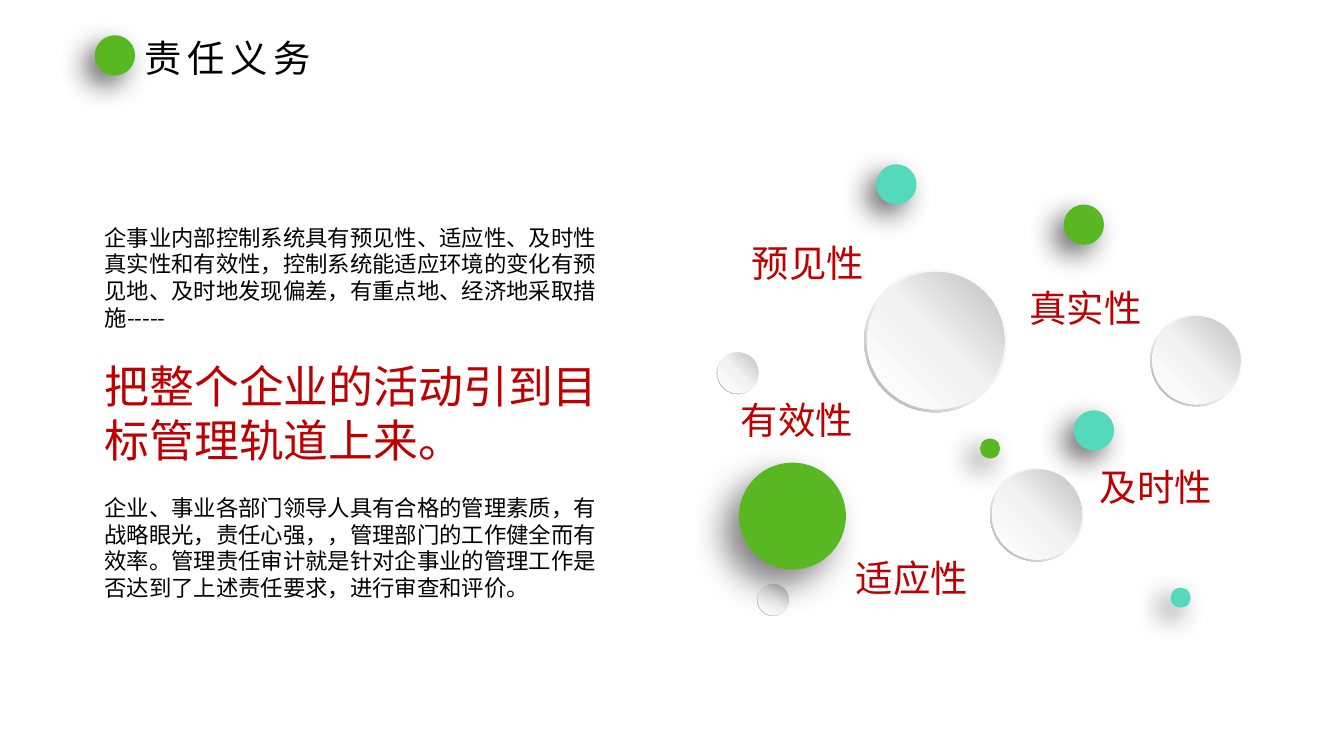
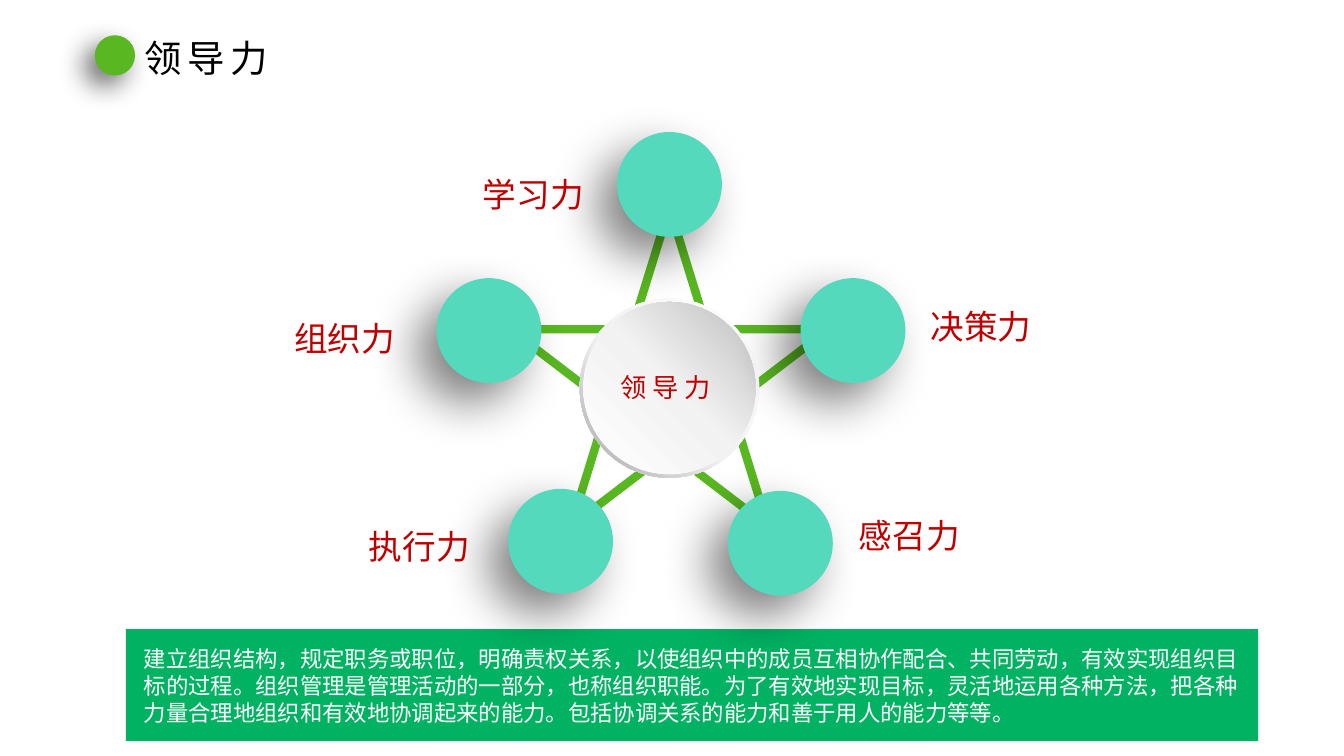
"""Build two slides on management duties and leadership."""
from dataclasses import dataclass
from typing import NamedTuple

from lxml.etree import SubElement
from pptx import Presentation
from pptx.dml.color import RGBColor as RGB
from pptx.enum.shapes import MSO_SHAPE as SHAPE
from pptx.enum.text import MSO_AUTO_SIZE as AUTO
from pptx.oxml.ns import qn
from pptx.util import Inches, Pt


@dataclass(frozen=True)
class Theme:
    font: str = "Noto Sans CJK SC"
    green: str = "59B721"
    teal: str = "54D9BC"
    band: str = "01B262"
    red: str = "C00000"
    black: str = "000000"
    white: str = "FFFFFF"
    rim: tuple = ((0, "FFFFFF"), (55, "F2F2F2"), (100, "A6A6A6"))
    face: tuple = ((0, "FFFFFF"), (51, "F2F2F2"), (100, "BFBFBF"))
    title: float = 26.7
    slogan: float = 32
    label: float = 24
    hub: float = 18.7
    body: float = 16
    leading: float = 1.2
    tracking: float = 4


class Shadow(NamedTuple):
    opacity: int
    blur: float
    dist: float


class Ball(NamedTuple):
    x: float
    y: float
    size: float
    color: str
    shadow: Shadow


class Disc(NamedTuple):
    x: float
    y: float
    size: float


class Label(NamedTuple):
    x: float
    y: float
    text: str


T = Theme()
SMALL = Shadow(60, 20, 10)
MEDIUM = Shadow(50, 25, 15)
LARGE = Shadow(50, 35, 20)
DIRECTION = 135

DUTY = """企事业内部控制系统具有预见性、适应性、及时性
真实性和有效性，控制系统能适应环境的变化有预
见地、及时地发现偏差，有重点地、经济地采取措
施-----"""
SLOGAN = """把整个企业的活动引到目
标管理轨道上来。"""
AUDIT = """企业、事业各部门领导人具有合格的管理素质，有
战略眼光，责任心强，，管理部门的工作健全而有
效率。管理责任审计就是针对企事业的管理工作是
否达到了上述责任要求，进行审查和评价。"""
ORGANISING = """建立组织结构，规定职务或职位，明确责权关系，以使组织中的成员互相协作配合、共同劳动，有效实现组织目
标的过程。组织管理是管理活动的一部分，也称组织职能。为了有效地实现目标，灵活地运用各种方法，把各种
力量合理地组织和有效地协调起来的能力。包括协调关系的能力和善于用人的能力等等。"""

QUALITIES = (
    Label(7.36, 2.33, "预见性"),
    Label(8.39, 5.46, "适应性"),
    Label(10.81, 4.56, "及时性"),
    Label(10.11, 2.78, "真实性"),
    Label(7.25, 3.89, "有效性"),
)
DISCS = (
    Disc(8.57, 2.67, 1.42),
    Disc(11.41, 3.12, 0.91),
    Disc(7.51, 5.79, 0.32),
    Disc(7.11, 3.49, 0.42),
    Disc(9.82, 4.64, 0.93),
)
BALLS = (
    Ball(7.33, 4.59, 1.06, T.green, MEDIUM),
    Ball(10.65, 4.07, 0.4, T.teal, SMALL),
    Ball(10.55, 2.03, 0.4, T.green, SMALL),
    Ball(11.61, 5.83, 0.2, T.teal, SMALL),
    Ball(8.69, 1.63, 0.4, T.teal, SMALL),
    Ball(9.72, 4.35, 0.2, T.green, SMALL),
)
STAR_POINTS = ((4.33, 2.76), (6.12, 1.31), (7.94, 2.76), (7.22, 4.87), (5.04, 4.85))
POWERS = (
    Label(4.69, 1.68, "学习力"),
    Label(9.13, 2.99, "决策力"),
    Label(8.42, 5.06, "感召力"),
    Label(2.82, 3.1, "组织力"),
    Label(3.56, 5.17, "执行力"),
)


def add_shape(shapes, kind: SHAPE, x: float, y: float, w: float, h: float):
    sp = shapes.add_shape(kind, Inches(x), Inches(y), Inches(w), Inches(h))
    sp.shadow.inherit = False
    sp.line.fill.background()
    return sp


def fill_solid(sp, color: str) -> None:
    sp.fill.solid()
    sp.fill.fore_color.rgb = RGB.from_string(color)


def fill_gradient(sp, stops: tuple, angle: int) -> None:
    sp.fill.gradient()
    sp.fill.gradient_angle = 360 - angle
    stop_list = next(sp._element.spPr.iter(qn("a:gsLst")))
    for old in list(stop_list):
        stop_list.remove(old)
    for percent, color in stops:
        stop = SubElement(stop_list, qn("a:gs"), pos=str(percent * 1000))
        SubElement(stop, qn("a:srgbClr"), val=color)


def add_shadow(sp, shadow: Shadow) -> None:
    effects = sp._element.spPr.find(qn("a:effectLst"))
    outer = SubElement(effects, qn("a:outerShdw"), blurRad=str(Pt(shadow.blur)),
                       dist=str(Pt(shadow.dist)), dir=str(DIRECTION * 60000),
                       algn="tr", rotWithShape="0")
    color = SubElement(outer, qn("a:srgbClr"), val=T.black)
    SubElement(color, qn("a:alpha"), val=str(shadow.opacity * 1000))


def add_text(shapes, x: float, y: float, w: float, h: float, text: str,
             size: float, color: str, tracking: float = 0) -> None:
    tf = shapes.add_textbox(Inches(x), Inches(y), Inches(w), Inches(h)).text_frame
    tf.word_wrap = False
    tf.auto_size = AUTO.SHAPE_TO_FIT_TEXT
    tf.text = text
    for p in tf.paragraphs:
        p.line_spacing = Pt(size * T.leading)
        p.font.name = T.font
        p.font.size = Pt(size)
        p.font.color.rgb = RGB.from_string(color)
        props = p._p.pPr.find(qn("a:defRPr"))
        SubElement(props, qn("a:ea"), typeface=T.font)
        if tracking:
            props.set("spc", str(int(tracking * 100)))


def add_ball(s, ball: Ball) -> None:
    sp = add_shape(s.shapes, SHAPE.OVAL, ball.x, ball.y, ball.size, ball.size)
    fill_solid(sp, ball.color)
    add_shadow(sp, ball.shadow)


def add_disc(s, disc: Disc):
    grp = s.shapes.add_group_shape()
    rim = add_shape(grp.shapes, SHAPE.DONUT, disc.x, disc.y, disc.size, disc.size)
    rim.adjustments[0] = 0.05
    fill_gradient(rim, T.rim, 135)
    inset = disc.size * 0.02
    size = disc.size - 2 * inset
    face = add_shape(grp.shapes, SHAPE.OVAL, disc.x + inset, disc.y + inset, size, size)
    fill_gradient(face, T.face, 315)
    return grp


def add_slide(prs, title: str, title_width: float):
    s = prs.slides.add_slide(prs.slide_layouts[6])
    add_ball(s, Ball(0.94, 0.35, 0.4, T.green, SMALL))
    add_text(s.shapes, 1.33, 0.3, title_width, 0.55, title, T.title, T.black, T.tracking)
    return s


def build_duties(prs) -> None:
    s = add_slide(prs, "责任义务", 1.92)
    for y, text, size, color in ((2.17, DUTY, T.body, T.black),
                                 (3.51, SLOGAN, T.slogan, T.red),
                                 (4.85, AUDIT, T.body, T.black)):
        add_text(s.shapes, 0.94, y, 5.14, 1.18, text, size, color)
    for label in QUALITIES:
        add_text(s.shapes, label.x, label.y, 1.32, 0.55, label.text, T.title, T.red)
    for disc in DISCS:
        add_disc(s, disc)
    for ball in BALLS:
        add_ball(s, ball)


def build_leadership(prs) -> None:
    s = add_slide(prs, "领导力", 1.49)
    band = add_shape(s.shapes, SHAPE.RECTANGLE, 1.25, 6.24, 11.23, 1.11)
    fill_solid(band, T.band)
    add_text(s.shapes, 1.33, 6.35, 11.2, 0.91, ORGANISING, T.body, T.white)
    star = add_shape(s.shapes, SHAPE.STAR_5_POINT, 5.06, 2.06, 3.16, 3.16)
    star.fill.background()
    star.line.color.rgb = RGB.from_string(T.green)
    star.line.width = Pt(6)
    hub = add_disc(s, Disc(5.75, 2.96, 1.78))
    add_text(hub.shapes, 6.06, 3.63, 1.15, 0.42, "领导力", T.hub, T.red, T.tracking)
    for x, y in STAR_POINTS:
        add_ball(s, Ball(x, y, 1.04, T.teal, LARGE))
    for label in POWERS:
        add_text(s.shapes, label.x, label.y, 1.21, 0.5, label.text, T.label, T.red)


def main() -> None:
    prs = Presentation()
    prs.slide_width, prs.slide_height = Inches(13.33), Inches(7.5)
    build_duties(prs)
    build_leadership(prs)
    prs.save("out.pptx")


if __name__ == "__main__":
    main()
